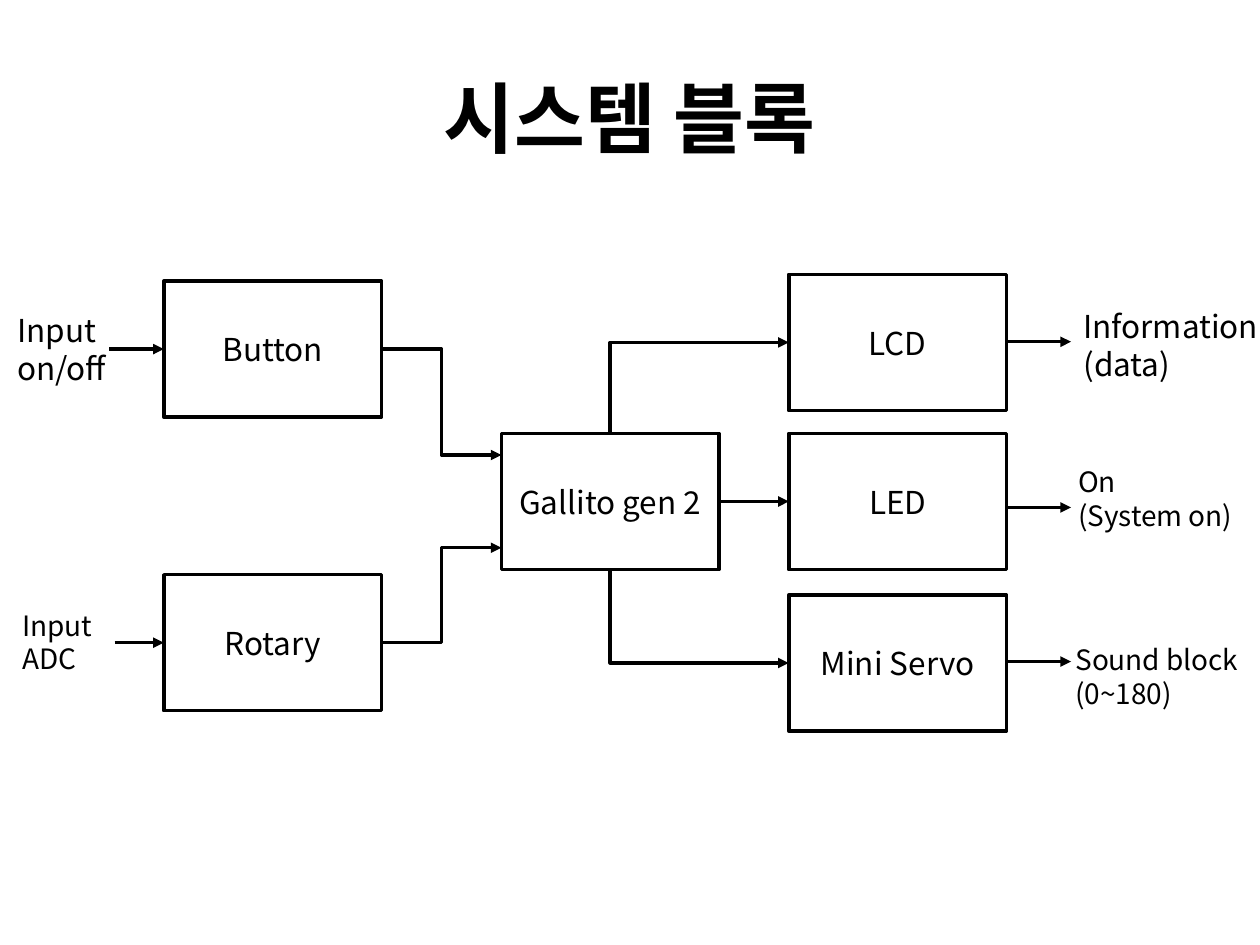
import pptx
import pptx.dml.color
import pptx.enum.shapes
import pptx.enum.text
import pptx.oxml
import pptx.oxml.ns
import pptx.util

Pt = pptx.util.Pt
qn = pptx.oxml.ns.qn
MSO_CONNECTOR = pptx.enum.shapes.MSO_CONNECTOR
PP_ALIGN = pptx.enum.text.PP_ALIGN
MSO_ANCHOR = pptx.enum.text.MSO_ANCHOR

COLORS = {"ink": "000000", "paper": "FFFFFF"}
FONT = "Noto Sans CJK KR"
LINE_WIDTH = 2
BLOCK_WIDTH, BLOCK_HEIGHT = 124.5, 77.75
INPUT_X, BOARD_X, OUTPUT_X = 93.6, 286.5, 450.75
MIDDLE_Y = 247.7
ARROW_END_X = 612
TOP, LEFT, BOTTOM, RIGHT = range(4)


def color(name):
    return pptx.dml.color.RGBColor.from_string(COLORS[name])


def write_text(shape, lines, size, align, anchor, bold=False):
    frame = shape.text_frame
    frame.word_wrap = True
    frame.vertical_anchor = anchor
    frame.text = "\n".join(lines)
    for paragraph in frame.paragraphs:
        paragraph.alignment = align
        font = paragraph.font
        font.size = Pt(size)
        font.bold = bold
        font.color.rgb = color("ink")
        font.name = FONT
        properties = paragraph._p.pPr.find(qn("a:defRPr"))
        east_asian = pptx.oxml.parse_xml(
            '<a:ea xmlns:a="http://schemas.openxmlformats.org/drawingml/2006/main"/>')
        east_asian.set("typeface", FONT)
        properties.append(east_asian)


def add_label(slide, lines, left, top, width, height, size):
    shape = slide.shapes.add_textbox(Pt(left), Pt(top), Pt(width), Pt(height))
    write_text(shape, lines, size, PP_ALIGN.LEFT, MSO_ANCHOR.TOP)


def add_title(slide, text):
    shape = slide.shapes.add_textbox(Pt(36), Pt(21.6), Pt(648), Pt(90))
    write_text(shape, [text], 44, PP_ALIGN.CENTER, MSO_ANCHOR.MIDDLE, bold=True)


def add_block(slide, text, left, top):
    shape = slide.shapes.add_shape(
        pptx.enum.shapes.MSO_SHAPE.RECTANGLE,
        Pt(left), Pt(top), Pt(BLOCK_WIDTH), Pt(BLOCK_HEIGHT))
    shape.shadow.inherit = False
    shape.fill.background()
    shape.line.color.rgb = color("ink")
    shape.line.width = Pt(LINE_WIDTH)
    write_text(shape, [text], 18, PP_ALIGN.CENTER, MSO_ANCHOR.MIDDLE)
    return shape


def add_arrow(slide, start, end, kind=MSO_CONNECTOR.STRAIGHT, arrow_at="tailEnd"):
    connector = slide.shapes.add_connector(kind, *map(Pt, start + end))
    connector.line.color.rgb = color("ink")
    connector.line.width = Pt(LINE_WIDTH)
    line = connector.line._get_or_add_ln()
    line.append(line.makeelement(qn("a:" + arrow_at), {"type": "triangle"}))
    properties = connector._element.spPr
    properties.append(properties.makeelement(qn("a:effectLst"), {}))
    return connector


def add_corner_arrow(slide, board, side, target):
    connector = add_arrow(slide, (0, 0), (1, 1), MSO_CONNECTOR.ELBOW, "headEnd")
    connector.begin_connect(target, LEFT)
    connector.end_connect(board, side)
    geometry = connector._element.spPr.find(qn("a:prstGeom"))
    geometry.set("prst", "bentConnector2")


def main():
    presentation = pptx.Presentation()
    presentation.slide_width, presentation.slide_height = Pt(720), Pt(540)
    slide = presentation.slides.add_slide(presentation.slide_layouts[6])
    slide.background.fill.solid()
    slide.background.fill.fore_color.rgb = color("paper")

    add_title(slide, "시스템 블록")
    board = add_block(slide, "Gallito gen 2", BOARD_X, MIDDLE_Y)

    inputs = [("Button", 160.6, 62.5, 260), ("Rotary", 328.4, 65.5, 313)]
    for name, top, arrow_start_x, board_y in inputs:
        add_block(slide, name, INPUT_X, top)
        center_y = top + BLOCK_HEIGHT / 2
        add_arrow(slide, (arrow_start_x, center_y), (INPUT_X, center_y))
        add_arrow(slide, (INPUT_X + BLOCK_WIDTH, center_y), (BOARD_X, board_y),
                  MSO_CONNECTOR.ELBOW)

    outputs = [("LCD", 156.8, 195.3), ("LED", MIDDLE_Y, 290), ("Mini Servo", 340, 378)]
    lcd, led, servo = [add_block(slide, name, OUTPUT_X, top) for name, top, _ in outputs]
    for _, _, arrow_y in outputs:
        add_arrow(slide, (OUTPUT_X + BLOCK_WIDTH, arrow_y), (ARROW_END_X, arrow_y))

    add_corner_arrow(slide, board, TOP, lcd)
    add_corner_arrow(slide, board, BOTTOM, servo)
    board_to_led = add_arrow(slide, (0, 0), (1, 1))
    board_to_led.begin_connect(board, RIGHT)
    board_to_led.end_connect(led, LEFT)

    labels = [
        (["Input", "on/off"], 2.9, 174.2, 90.7, 51, 18),
        (["Input", "ADC"], 5.6, 344, 65.5, 46, 16),
        (["Information", "(data)"], 612, 172, 118, 51, 18),
        (["On", "(System on)"], 609, 262, 116, 46, 16),
        (["Sound block", "(0~180)"], 607.5, 363.6, 116, 46, 16),
    ]
    for label in labels:
        add_label(slide, *label)

    presentation.save("out.pptx")


if __name__ == "__main__":
    main()
